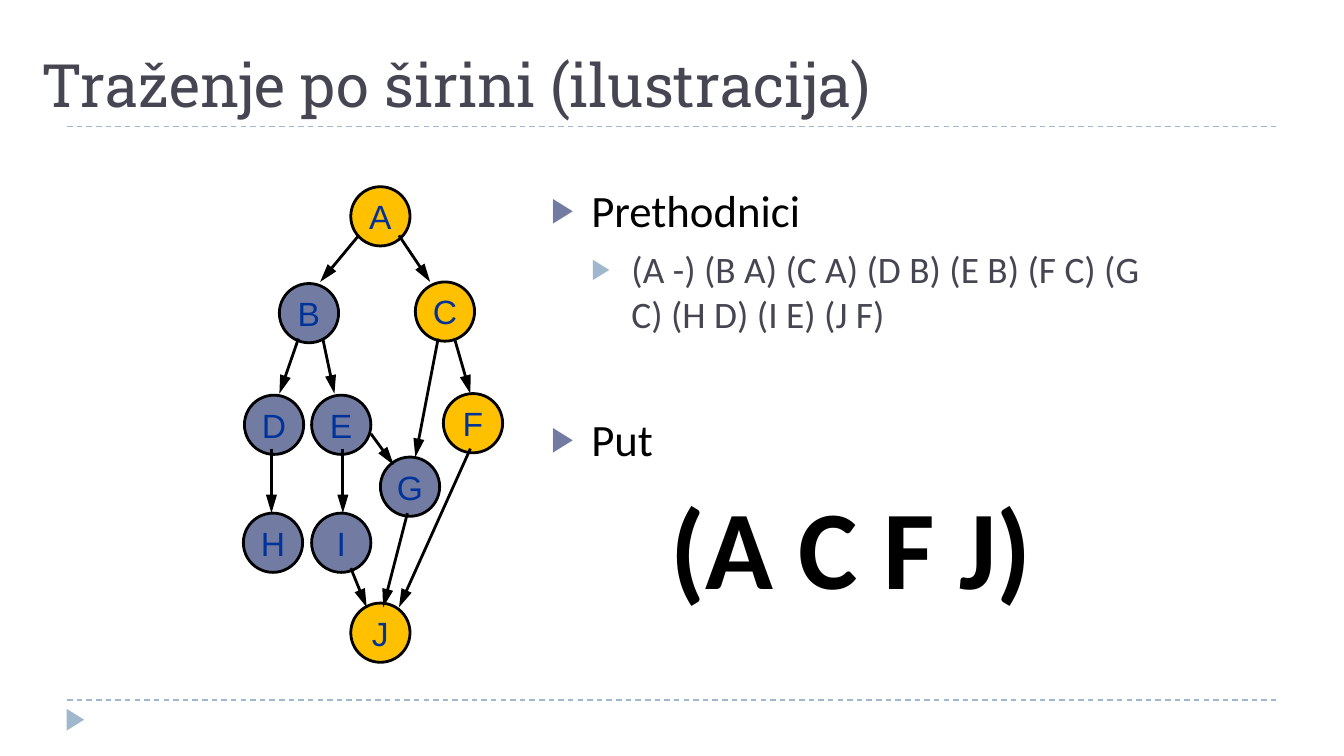
from lxml.etree import SubElement
from pptx import Presentation
from pptx.dml.color import RGBColor
from pptx.enum.dml import MSO_LINE_DASH_STYLE as Dash
from pptx.enum.shapes import MSO_CONNECTOR as Connector, MSO_SHAPE as Shape
from pptx.enum.text import MSO_ANCHOR as Anchor, MSO_AUTO_SIZE as AutoSize, PP_ALIGN as Align
from pptx.oxml.ns import qn
from pptx.util import Cm, Pt

BLACK, SLATE, PALE_BLUE, DARK_GRAY = "000000", "727CA3", "9FB8CD", "464653"
GOLD, LETTER_BLUE = "FFC000", "003399"


def color(hex_string):
    return RGBColor.from_string(hex_string)


def add_line(x1, y1, x2, y2, line_color, width):
    connector = slide.shapes.add_connector(
        Connector.STRAIGHT, Cm(x1), Cm(y1), Cm(x2), Cm(y2))
    connector.line.color.rgb = color(line_color)
    connector.line.width = Pt(width)
    SubElement(connector._element.spPr, qn("a:effectLst"))
    return connector


presentation = Presentation()
presentation.slide_width, presentation.slide_height = Cm(25.4), Cm(14.29)
slide = presentation.slides.add_slide(presentation.slide_layouts[1])

# Dashed rules and the corner marker
for y in (13.23, 2.39):
    add_line(1.27, y, 24.13, y, PALE_BLUE, 0.75).line.dash_style = Dash.DASH
marker = slide.shapes.add_shape(Shape.ISOSCELES_TRIANGLE, Cm(1.22), Cm(13.44), Cm(0.41), Cm(0.33))
marker.rotation = 90
marker.shadow.inherit = False
marker.fill.solid()
marker.fill.fore_color.rgb = color(PALE_BLUE)
marker.line.fill.background()

# Title
title = slide.shapes.title
title.left, title.top, title.width, title.height = Cm(0.53), Cm(0.48), Cm(22.28), Cm(1.91)
title.text_frame.text = "Traženje po širini (ilustracija)"
title.text_frame.vertical_anchor = Anchor.BOTTOM
title.text_frame.auto_size = AutoSize.NONE
paragraph = title.text_frame.paragraphs[0]
paragraph.alignment = Align.LEFT
paragraph.font.name = "Roboto Slab"
paragraph.font.size = Pt(32)
paragraph.font.color.rgb = color(DARK_GRAY)

# List: text, level, size, colour, space before, bullet colour
items = [
    ("Prethodnici", 0, 24, BLACK, 6, SLATE),
    ("(A -) (B A) (C A) (D B) (E B) (F C) (G C) (H D) (I E) (J F)", 1, 20, DARK_GRAY, 5, PALE_BLUE),
    ("Put", 0, 24, BLACK, 41, SLATE),
    ("(A C F J)", 0, 60, BLACK, 6, None),
]
body = slide.placeholders[1]
body.left, body.top, body.width, body.height = Cm(10.16), Cm(3.33), Cm(11.86), Cm(9.19)
frame = body.text_frame
frame.auto_size = AutoSize.NONE
frame.text = "\n".join(item[0] for item in items)
for paragraph, (_, level, size, text_color, space, bullet_color) in zip(frame.paragraphs, items):
    paragraph.level = level
    paragraph.space_before = Pt(space)
    paragraph.font.name = "Calibri"
    paragraph.font.size = Pt(size)
    paragraph.font.color.rgb = color(text_color)
    properties = paragraph._p.get_or_add_pPr()
    properties.set("marL", str(Cm(0.76 * (level + 1))))
    properties.set("indent", str(-Cm(0.76)))
    # Bullet elements go before the default run properties
    run_defaults = properties.find(qn("a:defRPr"))
    properties.remove(run_defaults)
    if bullet_color:
        SubElement(SubElement(properties, qn("a:buClr")), qn("a:srgbClr"), val=bullet_color)
        SubElement(properties, qn("a:buSzPct"), val="76000")
        SubElement(properties, qn("a:buFont"), typeface="Arial")
        SubElement(properties, qn("a:buChar"), char="▶")
    else:
        SubElement(properties, qn("a:buNone"))
    properties.append(run_defaults)
path_paragraph = frame.paragraphs[-1]
path_paragraph.alignment = Align.CENTER
path_paragraph.font.bold = True

# Graph nodes: left and top; those on the found path are gold
nodes = {
    "A": (6.63, 3.53), "B": (5.28, 5.36), "C": (7.85, 5.33), "D": (4.62, 7.47),
    "E": (5.89, 7.47), "F": (8.38, 7.44), "G": (7.19, 8.64), "H": (4.6, 9.7),
    "I": (5.89, 9.7), "J": (6.63, 11.4),
}
for letter, (x, y) in nodes.items():
    node = slide.shapes.add_shape(Shape.OVAL, Cm(x), Cm(y), Cm(1.12), Cm(1.12))
    node.shadow.inherit = False
    node.fill.solid()
    node.fill.fore_color.rgb = color(GOLD if letter in "ACFJ" else SLATE)
    node.line.color.rgb = color(BLACK)
    node.line.width = Pt(1.5)
    node.text_frame.text = letter
    node.text_frame.word_wrap = False
    node.text_frame.vertical_anchor = Anchor.MIDDLE
    paragraph = node.text_frame.paragraphs[0]
    paragraph.alignment = Align.CENTER
    paragraph.font.name = "Arial"
    paragraph.font.size = Pt(18)
    paragraph.font.color.rgb = color(LETTER_BLUE)

# Graph edges
edges = [
    (6.78, 4.45, 6.05, 5.33),   # A to B
    (7.54, 4.45, 8.13, 5.33),   # A to C
    (5.64, 6.4, 5.28, 7.44),    # B to D
    (6.1, 6.4, 6.32, 7.44),     # B to E
    (8.59, 6.4, 8.89, 7.44),    # C to F
    (8.28, 6.4, 7.85, 8.64),    # C to G
    (5.13, 8.48, 5.13, 9.7),    # D to H
    (6.48, 8.48, 6.48, 9.7),    # E to I
    (7.01, 8.2, 7.44, 8.79),    # E to G
    (8.89, 8.48, 7.54, 11.48),  # F to J
    (7.7, 9.7, 7.24, 11.48),    # G to J
    (6.63, 10.74, 6.93, 11.48),  # I to J
]
for edge in edges:
    arrow = add_line(*edge, BLACK, 1.5)
    outline = arrow._element.spPr.find(qn("a:ln"))
    SubElement(outline, qn("a:tailEnd"), type="triangle", w="med", len="lg")

presentation.save("out.pptx")
